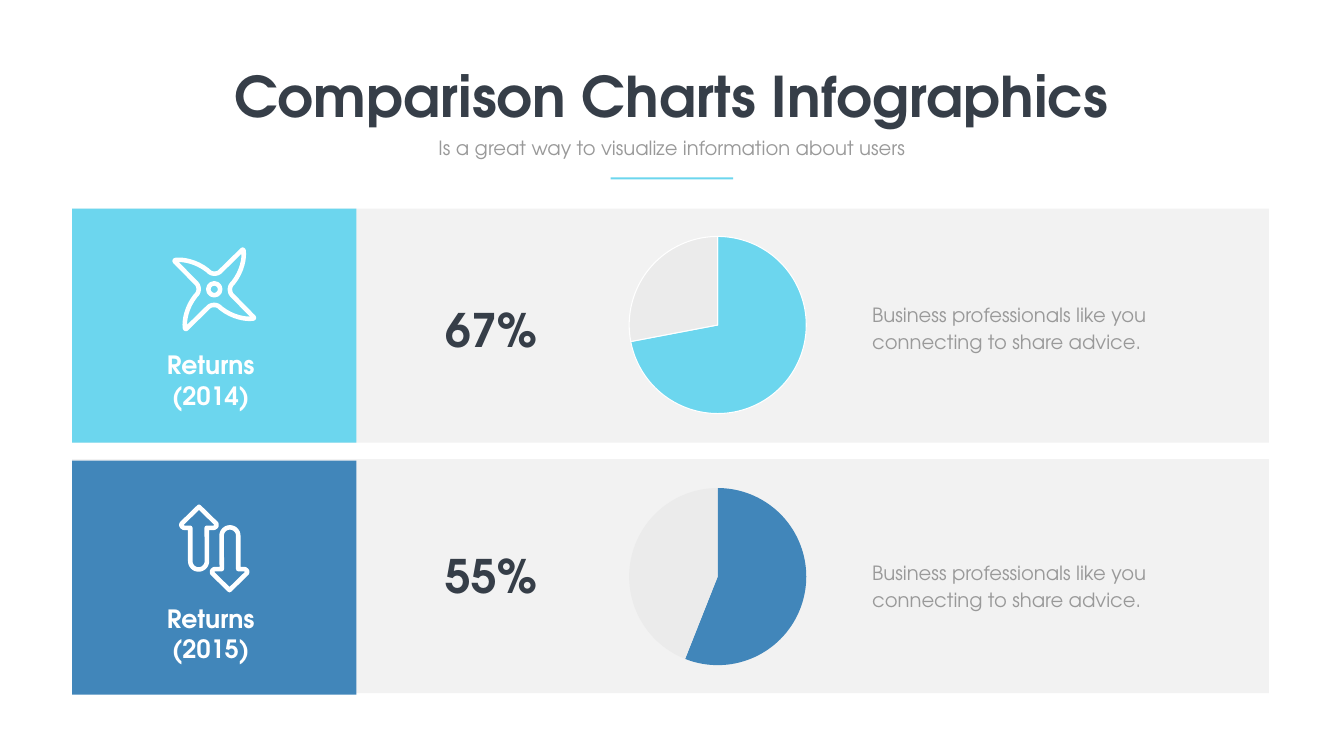
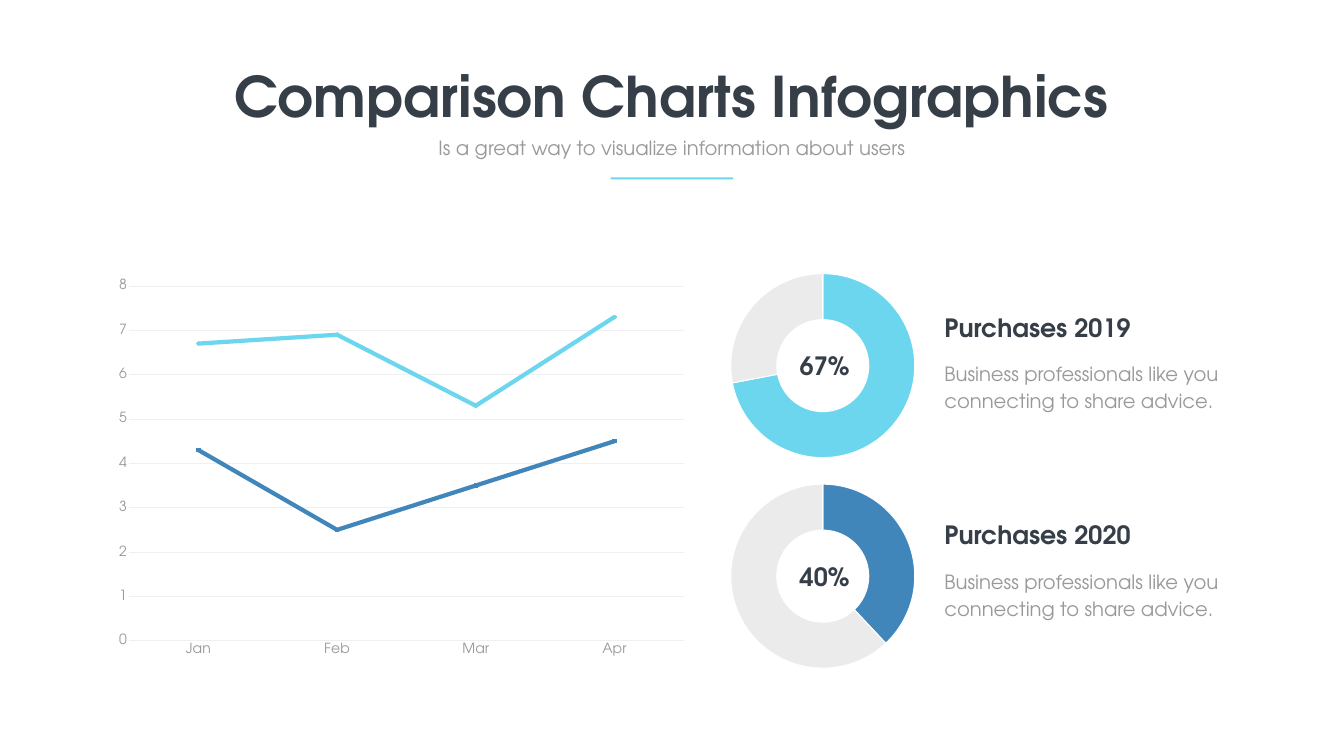
from math import cos, pi, sin

from lxml import etree
from pptx import Presentation
from pptx.chart.data import CategoryChartData
from pptx.dml.color import RGBColor
from pptx.enum.chart import XL_CHART_TYPE, XL_TICK_MARK
from pptx.enum.shapes import MSO_SHAPE
from pptx.enum.text import MSO_ANCHOR, MSO_AUTO_SIZE, PP_ALIGN
from pptx.oxml.ns import qn
from pptx.util import Cm, Pt

LEFT, CENTER = PP_ALIGN.LEFT, PP_ALIGN.CENTER
TOP, NO_AUTOFIT = MSO_ANCHOR.TOP, MSO_AUTO_SIZE.NONE
RECTANGLE, OVAL = MSO_SHAPE.RECTANGLE, MSO_SHAPE.OVAL
PIE, DOUGHNUT = XL_CHART_TYPE.PIE, XL_CHART_TYPE.DOUGHNUT
LINE_STACKED, NO_TICK = XL_CHART_TYPE.LINE_STACKED, XL_TICK_MARK.NONE


class Theme:
    font = "TeX Gyre Adventor"
    dark = RGBColor.from_string("363E48")
    gray = RGBColor.from_string("999999")
    white = RGBColor.from_string("FFFFFF")
    cyan = RGBColor.from_string("6CD6EE")
    blue = RGBColor.from_string("4186BA")
    panel = RGBColor.from_string("F2F2F2")
    rest = RGBColor.from_string("EBEBEB")
    grid = RGBColor.from_string("F0F0F0")
    title_size, percent_size, heading_size = 80, 66, 36
    body_size, axis_size = 28, 20
    body_spacing = 38.6


def add_text(slide, box, text, size=Theme.body_size, color=Theme.gray, bold=False,
             align=LEFT, spacing=None, wrap=True, shape=None):
    """Write one paragraph per line of text, in a new box or a given shape."""
    left, top, width, height = [Cm(value) for value in box]
    if shape is None:
        shape = slide.shapes.add_textbox(left, top, width, height)
    else:
        shape.left, shape.top, shape.width, shape.height = left, top, width, height
    frame = shape.text_frame
    frame.text = text
    frame.auto_size = NO_AUTOFIT
    frame.word_wrap = wrap
    frame.vertical_anchor = TOP
    for paragraph in frame.paragraphs:
        paragraph.alignment = align
        paragraph.space_before = Pt(0)
        paragraph.line_spacing = Pt(spacing) if spacing else 1.0
        for run in paragraph.runs:
            run.font.name = Theme.font
            run.font.size = Pt(size)
            run.font.bold = bold
            run.font.color.rgb = color


def add_chart(slide, kind, box, categories, series_values, plot_box,
              point_colors=(), border=True):
    """Add a chart with a fixed plot area; point_colors paint the slices."""
    data = CategoryChartData()
    data.categories = categories
    for number, values in enumerate(series_values, 1):
        data.add_series(f"Series {number}", values)
    frame = slide.shapes.add_chart(kind, *[Cm(value) for value in box], data)
    chart = frame.chart
    chart.has_title = chart.has_legend = False
    chart.font.name = Theme.font
    chart.font.size = Pt(Theme.axis_size)
    chart.font.color.rgb = Theme.gray

    plot_area = chart._chartSpace.chart.plotArea
    for old_layout in plot_area.findall(qn("c:layout")):
        plot_area.remove(old_layout)
    layout = etree.Element(qn("c:layout"))
    plot_area.insert(0, layout)
    manual = etree.SubElement(layout, qn("c:manualLayout"))
    settings = [("layoutTarget", "inner"), ("xMode", "edge"), ("yMode", "edge"),
                *zip("xywh", plot_box)]
    for tag, value in settings:
        etree.SubElement(manual, qn(f"c:{tag}")).set("val", str(value))

    for index, color in enumerate(point_colors):
        point_format = chart.plots[0].series[0].points[index].format
        point_format.fill.solid()
        point_format.fill.fore_color.rgb = color
        if border:
            point_format.line.color.rgb = Theme.white
            point_format.line.width = Pt(1.5)
        else:
            point_format.line.fill.background()
    for hole in plot_area.iter(qn("c:holeSize")):
        hole.set("val", "75")
    return chart


presentation = Presentation()
presentation.slide_width, presentation.slide_height = Cm(67.74), Cm(38.1)
title_only = presentation.slide_layouts[5]
returns_slide = presentation.slides.add_slide(title_only)
purchases_slide = presentation.slides.add_slide(title_only)
advice = "Business professionals like you connecting to share advice."
slice_plot = (0.19, 0.035, 0.62, 0.93)

# Shared heading
blocks = []
for slide in presentation.slides:
    add_text(slide, (11.35, 2.97, 44.98, 3.68), "Comparison Charts Infographics",
             size=Theme.title_size, color=Theme.dark, bold=True, align=CENTER,
             wrap=False, shape=slide.shapes.title)
    add_text(slide, (21.72, 6.73, 24.28, 1.45),
             "Is a great way to visualize information about users", align=CENTER)
    blocks.append((slide, (30.78, 8.94, 6.17, 0.1), Theme.cyan))

# Panels with their coloured tiles, and the accent lines
for row, tile_color in enumerate((Theme.cyan, Theme.blue)):
    blocks += [
        (returns_slide, (3.63, 10.52 + 12.62 * row, 60.33, 11.79), Theme.panel),
        (returns_slide, (3.63, 10.52 + 12.7 * row, 14.33, 11.79), tile_color),
    ]
for slide, box, color in blocks:
    block = slide.shapes.add_shape(RECTANGLE, *[Cm(value) for value in box])
    block.shadow.inherit = False
    block.fill.solid()
    block.fill.fore_color.rgb = color
    block.line.fill.background()

# Returns: one row a year
returns = [
    ("Returns\n(2014)", "67%", (72, 28), Theme.cyan, 17.5, 15.04, 11.58, 14.94, True),
    ("Returns\n(2015)", "55%", (56, 44), Theme.blue, 30.28, 27.48, 24.26, 27.99, False),
]
for (label, percent, shares, color,
     label_top, percent_top, pie_top, advice_top, border) in returns:
    add_chart(returns_slide, PIE, (28.96, pie_top, 14.43, 9.6), ("1", "2"), [shares],
              slice_plot, (color, Theme.rest), border)
    add_text(returns_slide, (4.55, label_top, 12.14, 3.33), label,
             size=Theme.heading_size, color=Theme.white, bold=True, align=CENTER)
    add_text(returns_slide, (22.17, percent_top, 5.18, 3.07), percent,
             size=Theme.percent_size, color=Theme.dark, bold=True, align=CENTER,
             wrap=False)
    add_text(returns_slide, (43.71, advice_top, 17.15, 3), advice,
             spacing=Theme.body_spacing)

# Fan outline: one blade, turned four times about the hub
fan_center, arrows_center = (10.8, 14.58), (10.8, 27.64)
blade_curves = [
    ((0, -0.79), (0.15, -0.79), (0.25, -0.84), (0.33, -0.93)),
    ((1.35, -1.93), (1.42, -2.02), (1.47, -2.02), (1.48, -1.92)),
    ((1.48, -1.92), (1.52, -1.6), (1.42, -0.92), (0.95, -0.33)),
    ((0.95, -0.33), (0.84, -0.23), (0.79, -0.13), (0.79, 0)),
]
blade = []
for curve in blade_curves:
    for step in range(9):
        t = step / 8
        weights = ((1 - t) ** 3, 3 * t * (1 - t) ** 2, 3 * t * t * (1 - t), t ** 3)
        blade.append(tuple(sum(weight * point[axis]
                               for weight, point in zip(weights, curve))
                           for axis in (0, 1)))
fan = []
for turn in range(4):
    fan += blade
    blade = [(-y, x) for x, y in blade]

# Arrow outline: a head on a stem with a round end, and its half turn
arrow_up = [(-0.38, -1.04), (0, -1.04), (0.11, -1.12), (0.11, -1.24), (-0.77, -2.1),
            (-1.65, -1.24), (-1.65, -1.12), (-1.54, -1.04), (-1.21, -1.04)]
arrow_up += [(-0.79 - 0.42 * cos(pi * step / 16), 0.64 + 0.42 * sin(pi * step / 16))
             for step in range(17)]
arrow_down = [(-x, -y) for x, y in arrow_up]

# Icons drawn as white outlines
icon_shapes = []
for (center_x, center_y), outline in ((fan_center, fan), (arrows_center, arrow_up),
                                      (arrows_center, arrow_down)):
    points = [(Cm(center_x + x), Cm(center_y + y)) for x, y in outline]
    builder = returns_slide.shapes.build_freeform(*points[0])
    builder.add_line_segments(points[1:], close=True)
    icon_shapes.append(builder.convert_to_shape())
hub_radius = 0.3
icon_shapes.append(returns_slide.shapes.add_shape(
    OVAL, Cm(fan_center[0] - hub_radius), Cm(fan_center[1] - hub_radius),
    Cm(2 * hub_radius), Cm(2 * hub_radius)))
for shape in icon_shapes:
    shape.shadow.inherit = False
    shape.fill.background()
    shape.line.color.rgb = Theme.white
    shape.line.width = Pt(6.5)
    etree.SubElement(shape._element.spPr.find(qn("a:ln")), qn("a:round"))

# Purchases: stacked lines by month
line_chart = add_chart(
    purchases_slide, LINE_STACKED, (5.41, 13.72, 29.59, 19.76),
    ("Jan", "Feb", "Mar", "Apr"), [(4.3, 2.5, 3.5, 4.5), (2.4, 4.4, 1.8, 2.8)],
    (0.037, 0.035, 0.945, 0.905))
month_axis, value_axis = line_chart.category_axis, line_chart.value_axis
value_axis.minimum_scale, value_axis.maximum_scale = 0, 8
value_axis.major_unit = 1
value_axis.tick_labels.number_format = "0"
value_axis.tick_labels.number_format_is_linked = False
value_axis.has_major_gridlines = True
value_axis.format.line.fill.background()
for axis in (month_axis, value_axis):
    axis.major_tick_mark = axis.minor_tick_mark = NO_TICK
for line in (month_axis.format.line, value_axis.major_gridlines.format.line):
    line.color.rgb = Theme.grid
    line.width = Pt(0.75)
for series, color in zip(line_chart.plots[0].series, (Theme.blue, Theme.cyan)):
    series.smooth = False
    series.marker.style = None
    series.format.line.color.rgb = color
    series.format.line.width = Pt(6)
    for outline in series._element.iter(qn("a:ln")):
        outline.set("cap", "rnd")

# Purchases: one doughnut a year
purchases = [
    ("Purchases 2019", "67%", (72, 28), Theme.cyan, 13.44, 15.6),
    ("Purchases 2020", "40%", (38, 62), Theme.blue, 24.05, 26.06),
]
for heading, percent, shares, color, ring_top, heading_top in purchases:
    add_chart(purchases_slide, DOUGHNUT, (33.99, ring_top, 14.96, 9.98), ("1", "2"),
              [shares], slice_plot, (color, Theme.rest))
    add_text(purchases_slide, (37.64, ring_top + 4.09, 7.85, 1.8), percent,
             size=Theme.heading_size, color=Theme.dark, bold=True, align=CENTER)
    add_text(purchases_slide, (47.35, heading_top, 12.14, 1.8), heading,
             size=Theme.heading_size, color=Theme.dark, bold=True)
    add_text(purchases_slide, (47.35, heading_top + 2.34, 14.96, 3), advice,
             spacing=Theme.body_spacing)

presentation.save("out.pptx")
